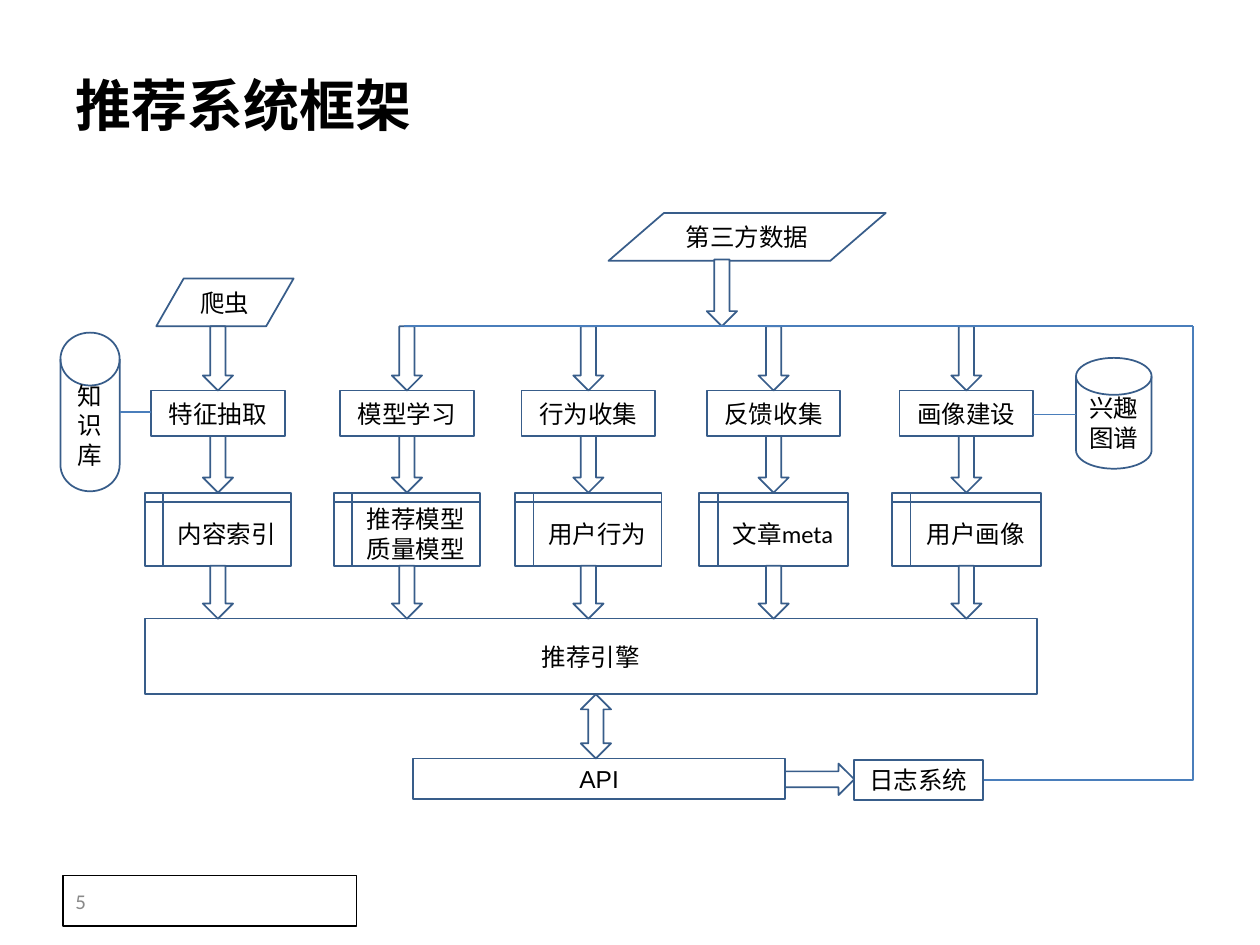
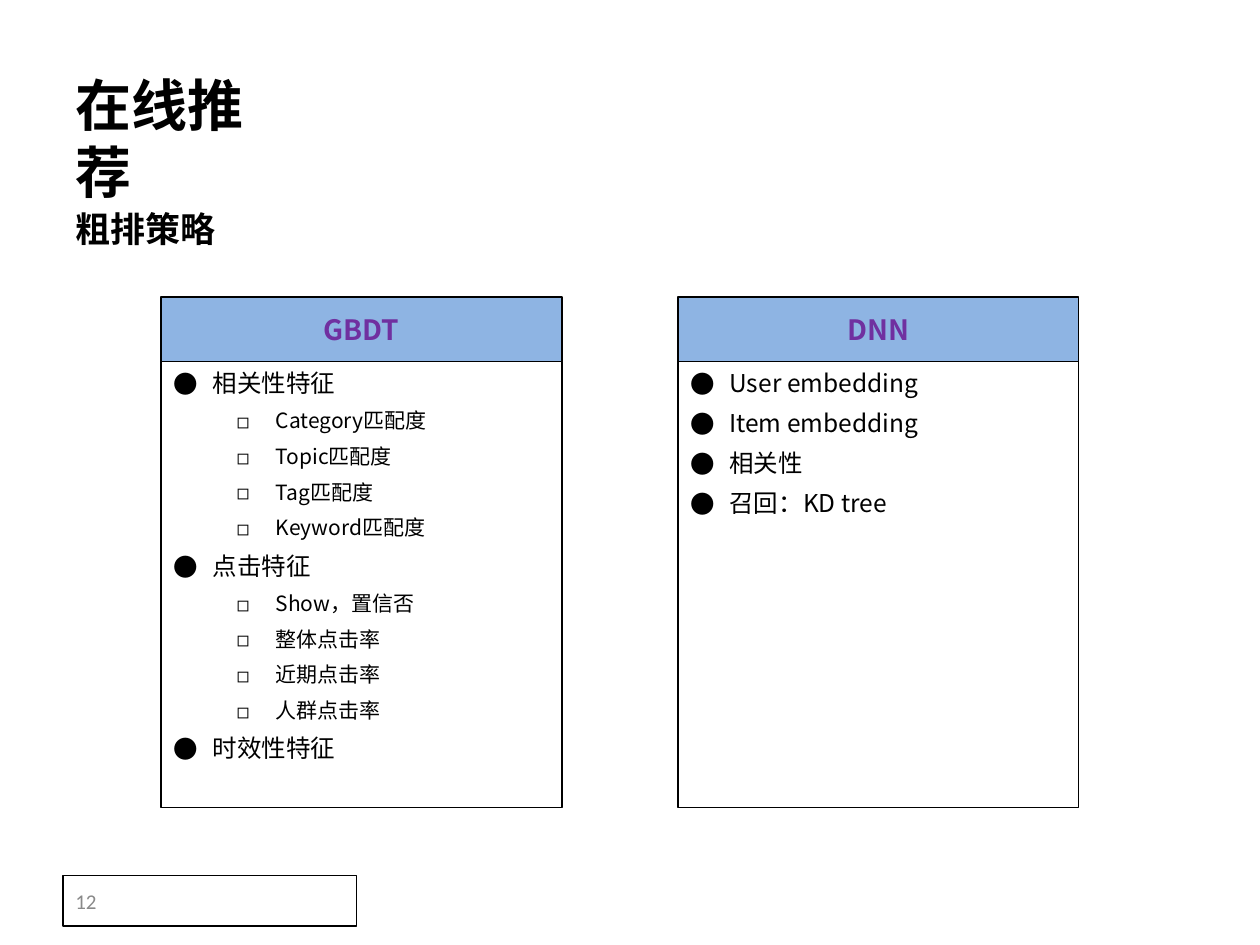
from pptx import Presentation
from pptx.dml.color import RGBColor
from pptx.enum.shapes import MSO_CONNECTOR, MSO_SHAPE
from pptx.enum.text import MSO_ANCHOR, MSO_AUTO_SIZE, PP_ALIGN
from pptx.oxml.ns import qn
from pptx.util import Inches, Pt
from lxml import etree

BOX, STEP, DATA = MSO_SHAPE.RECTANGLE, MSO_SHAPE.FLOWCHART_PROCESS, MSO_SHAPE.FLOWCHART_DATA
STORE, DISK = MSO_SHAPE.FLOWCHART_INTERNAL_STORAGE, MSO_SHAPE.FLOWCHART_MAGNETIC_DISK
DOWN, BOTH, RIGHT = MSO_SHAPE.DOWN_ARROW, MSO_SHAPE.UP_DOWN_ARROW, MSO_SHAPE.RIGHT_ARROW
LINE, ELBOW = MSO_CONNECTOR.STRAIGHT, MSO_CONNECTOR.ELBOW
LEFT, MID = PP_ALIGN.LEFT, PP_ALIGN.CENTER
TOP, CENTER = MSO_ANCHOR.TOP, MSO_ANCHOR.MIDDLE
FIT = MSO_AUTO_SIZE.SHAPE_TO_FIT_TEXT

# Shared style
HAN, SANS, ARIAL = "Noto Sans CJK SC", "Calibri", "Arial"
BLACK, WHITE, GREY = "000000", "FFFFFF", "898989"
EDGE, WIRE, HEAD, PURPLE = "385D8A", "4A7EBB", "8EB4E3", "7030A0"

# Slide 1: column centre, step, store lines, store width
COLS = [
    (1.73, "特征抽取", ["内容索引"], 1.16),
    (3.23, "模型学习", ["推荐模型", "质量模型"], 1.16),
    (4.67, "行为收集", ["用户行为"], 1.16),
    (6.14, "反馈收集", ["文章meta"], 1.18),
    (7.67, "画像建设", ["用户画像"], 1.18),
]
NODES = [
    (DATA, 1.24, 2.21, 1.09, 0.38, "爬虫", SANS),
    (DATA, 4.83, 1.69, 2.2, 0.38, "第三方数据", SANS),
    (DISK, 0.48, 2.64, 0.47, 1.26, "知识库", SANS),
    (DISK, 8.54, 2.84, 0.6, 0.88, "兴趣图谱", SANS),
    (STEP, 1.15, 4.91, 7.08, 0.6, "推荐引擎", SANS),
    (STEP, 3.28, 6.02, 2.95, 0.32, "API", ARIAL),
    (STEP, 6.78, 6.03, 1.02, 0.32, "日志系统", SANS),
]
BUS, STEP_Y, STEP_W, STEP_H = 2.59, 3.1, 1.06, 0.36
STORE_Y, STORE_H, CORE_Y = 3.91, 0.58, 4.91
SHAFT, END = 0.24, 9.47
WIRES = [
    (LINE, 3.21, BUS, END, BUS, 1.25),
    (ELBOW, 7.81, 6.19, END, BUS, 1.25),
    (LINE, 0.95, 3.27, 1.2, 3.27, 0.75),
    (LINE, 8.2, 3.29, 8.54, 3.29, 0.75),
]

# Slide 2: left edge, heading, (level, text) items
CARDS = [
    (1.28, "GBDT", [
        (0, "相关性特征"), (1, "Category匹配度"), (1, "Topic匹配度"),
        (1, "Tag匹配度"), (1, "Keyword匹配度"),
        (0, "点击特征"), (1, "Show，置信否"), (1, "整体点击率"),
        (1, "近期点击率"), (1, "人群点击率"), (0, "时效性特征")]),
    (5.38, "DNN", [
        (0, "User embedding"), (0, "Item embedding"),
        (0, "相关性"), (0, "召回：KD tree")]),
]
CARD_Y, CARD_W, HEAD_H, BODY_H = 2.36, 3.18, 0.51, 3.54
LEVELS = [(14, 0.31, "●"), (12, 0.81, "◻")]


def rgb(code):
    return RGBColor.from_string(code)


def write(par, text, size, face=SANS, color=BLACK, bold=False, align=LEFT):
    par.alignment = align
    run = par.add_run()
    run.text = text
    font = run.font
    font.size, font.name, font.bold = Pt(size), face, bold
    font.color.rgb = rgb(color)
    etree.SubElement(font._element, qn("a:ea"), typeface=HAN)


def bullet(par, level):
    size, left, mark = LEVELS[level]
    par.level = level
    par.space_after = Pt(6)
    props = par._p.get_or_add_pPr()
    props.set("marL", str(Inches(left)))
    props.set("indent", str(-Inches(0.31)))
    tint = etree.SubElement(props, qn("a:buClr"))
    etree.SubElement(tint, qn("a:srgbClr"), val=BLACK)
    etree.SubElement(props, qn("a:buFont"), typeface=HAN)
    etree.SubElement(props, qn("a:buChar"), char=mark)
    return size


def shape(slide, kind, x, y, w, h, fill=WHITE, edge=EDGE, width=1):
    item = slide.shapes.add_shape(kind, Inches(x), Inches(y), Inches(w), Inches(h))
    item.shadow.inherit = False
    item.fill.solid()
    item.fill.fore_color.rgb = rgb(fill)
    item.line.color.rgb = rgb(edge)
    item.line.width = Pt(width)
    item.text_frame.vertical_anchor = CENTER
    return item


def node(slide, kind, x, y, w, h, lines, face=SANS):
    frame = shape(slide, kind, x, y, w, h).text_frame
    for i, text in enumerate(lines):
        par = frame.add_paragraph() if i else frame.paragraphs[0]
        write(par, text, 14, face, align=MID)


def drop(slide, mid, top, end, kind=DOWN):
    shape(slide, kind, mid - SHAFT / 2, top, SHAFT, end - top)


def wire(slide, kind, x1, y1, x2, y2, width):
    link = slide.shapes.add_connector(kind, Inches(x1), Inches(y1), Inches(x2), Inches(y2))
    link.line.color.rgb = rgb(WIRE)
    link.line.width = Pt(width)
    props = link._element.spPr
    etree.SubElement(props, qn("a:effectLst"))
    if kind == ELBOW:
        props.find(qn("a:prstGeom")).set("prst", "bentConnector2")


def start(deck, title, number):
    slide = deck.slides.add_slide(deck.slide_layouts[5])
    head = slide.shapes.title
    head.left, head.top = Inches(0.5), Inches(0.51)
    head.width, head.height = Inches(0.2 + 0.445 * len(title)), Inches(0.64)
    frame = head.text_frame
    frame.word_wrap, frame.auto_size = False, FIT
    frame.vertical_anchor = TOP
    write(frame.paragraphs[0], title, 32, HAN, bold=True)
    # Page number box
    foot = shape(slide, BOX, 0.5, 6.95, 2.33, 0.4, edge=BLACK, width=0.75)
    write(foot.text_frame.paragraphs[0], str(number), 12, color=GREY)
    return slide


def flow(deck):
    slide = start(deck, "推荐系统框架", 5)
    for kind, x, y, w, h, text, face in NODES:
        node(slide, kind, x, y, w, h, [text], face)
    # Columns of step, store and arrows
    for mid, step, store, wide in COLS:
        node(slide, STEP, mid - STEP_W / 2, STEP_Y, STEP_W, STEP_H, [step])
        node(slide, STORE, mid - wide / 2, STORE_Y, wide, STORE_H, store)
        drop(slide, mid, BUS, STEP_Y)
        drop(slide, mid, STEP_Y + STEP_H, STORE_Y)
        drop(slide, mid, STORE_Y + STORE_H, CORE_Y)
    # Other arrows and wires
    drop(slide, 5.73, 2.06, BUS)
    drop(slide, 4.73, 5.51, 6.02, BOTH)
    shape(slide, RIGHT, 6.23, 6.06, 0.55, 0.25)
    for spot in WIRES:
        wire(slide, *spot)


def cards(deck):
    slide = start(deck, "在线推荐", 12)
    sub = slide.shapes.add_textbox(Inches(0.5), Inches(1.43), Inches(2.68), Inches(0.6))
    sub.text_frame.word_wrap = True
    par = sub.text_frame.paragraphs[0]
    par.line_spacing = 1.5
    write(par, "粗排策略", 20, HAN, bold=True)
    for x, name, items in CARDS:
        body = shape(slide, BOX, x, CARD_Y + HEAD_H, CARD_W, BODY_H, edge=BLACK)
        frame = body.text_frame
        frame.vertical_anchor = TOP
        for i, (level, text) in enumerate(items):
            par = frame.add_paragraph() if i else frame.paragraphs[0]
            write(par, text, bullet(par, level), HAN)
        band = shape(slide, BOX, x, CARD_Y, CARD_W, HEAD_H, HEAD, BLACK)
        write(band.text_frame.paragraphs[0], name, 16, HAN, PURPLE, True, MID)


def main():
    deck = Presentation()
    deck.slide_width, deck.slide_height = Inches(10), Inches(7.5)
    flow(deck)
    cards(deck)
    deck.save("out.pptx")


if __name__ == "__main__":
    main()
